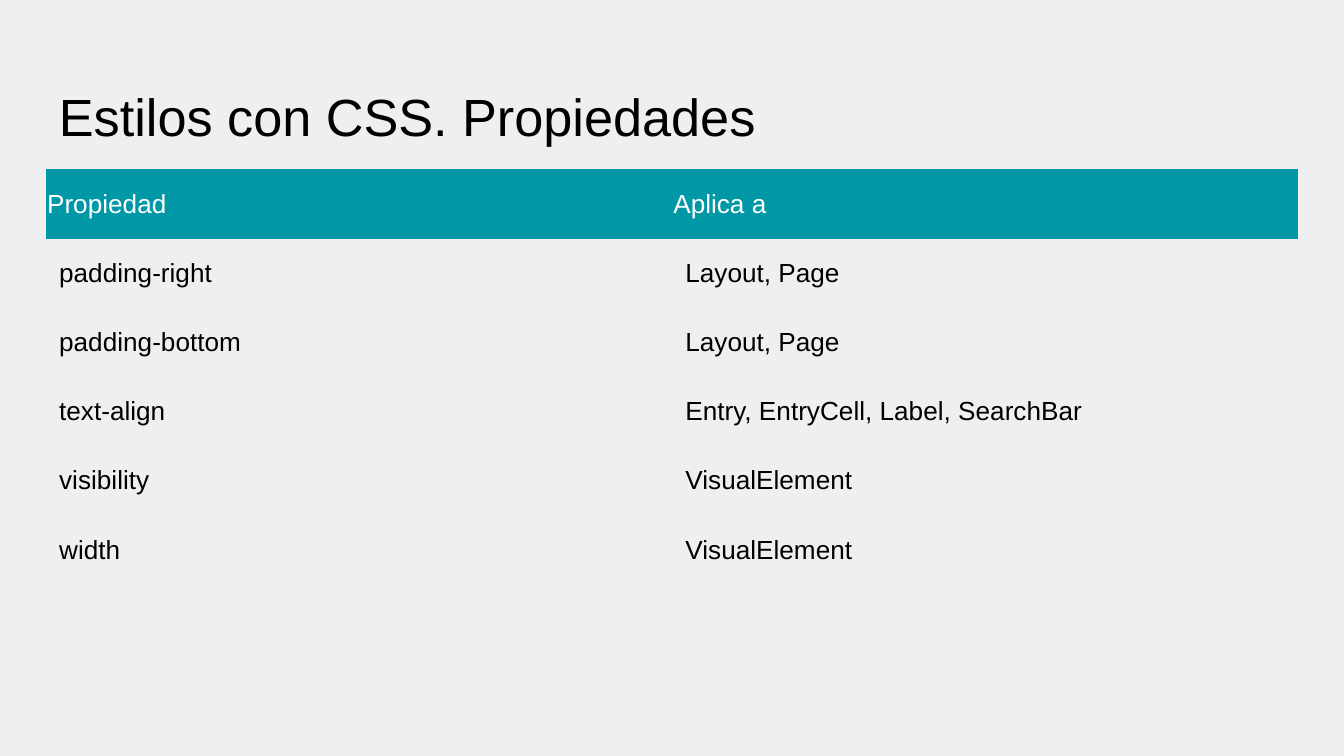
from typing import NamedTuple

from pptx import Presentation
from pptx.dml.color import RGBColor
from pptx.enum.text import MSO_ANCHOR
from pptx.oxml.ns import qn
from pptx.util import Pt

COLORS = {"background": "EFEFEF", "header": "0097A7", "light": "FFFFFF", "dark": "000000"}
FONT = "Arial"
NO_STYLE_NO_GRID = "{2D5ABB26-0587-4C30-8999-92F81FD0307C}"
LEFT, WIDTH = 24.5, 671
ROW_COUNT, ROW_HEIGHT = 8, 37.08


class Property(NamedTuple):
    name: str
    applies_to: str


HEADER = Property("Propiedad", "Aplica a")
PROPERTIES = [
    Property("padding-right", "Layout, Page"),
    Property("padding-bottom", "Layout, Page"),
    Property("text-align", "Entry, EntryCell, Label, SearchBar"),
    Property("visibility", "VisualElement"),
    Property("width", "VisualElement"),
]


def color(name: str) -> RGBColor:
    return RGBColor.from_string(COLORS[name])


def add_text(tf, text: str, size: float, color_name: str) -> None:
    r = tf.paragraphs[0].add_run()
    r.text = text
    r.font.name = FONT
    r.font.size = Pt(size)
    r.font.color.rgb = color(color_name)


def add_title(s, text: str) -> None:
    sp = s.shapes.add_textbox(Pt(LEFT), Pt(35.3), Pt(WIDTH), Pt(45.4))
    tf = sp.text_frame
    tf.word_wrap = True
    tf.margin_left = tf.margin_right = Pt(7.2)
    tf.margin_top, tf.margin_bottom = Pt(10), Pt(0)
    add_text(tf, text, 28, "dark")


def fill_row(table, index: int, row: Property, color_name: str) -> None:
    for cell, text in zip(table.rows[index].cells, row):
        cell.vertical_anchor = MSO_ANCHOR.MIDDLE
        add_text(cell.text_frame, text, 14, color_name)


def add_property_table(s) -> None:
    sp = s.shapes.add_table(
        ROW_COUNT, 2, Pt(LEFT), Pt(90.7), Pt(WIDTH), Pt(ROW_COUNT * ROW_HEIGHT)
    )
    table = sp.table
    table.first_row = table.horz_banding = False
    for style in sp._element.iter(qn("a:tableStyleId")):
        style.text = NO_STYLE_NO_GRID
    for cell in table.iter_cells():
        cell.fill.background()

    fill_row(table, 0, HEADER, "light")
    for cell in table.rows[0].cells:
        cell.margin_left = cell.margin_right = Pt(0.75)
        cell.margin_top = cell.margin_bottom = Pt(0)
        cell.fill.solid()
        cell.fill.fore_color.rgb = color("header")
    for index, row in enumerate(PROPERTIES, start=1):
        fill_row(table, index, row, "dark")


def main() -> None:
    prs = Presentation()
    prs.slide_width, prs.slide_height = Pt(720), Pt(405)
    s = prs.slides.add_slide(prs.slide_layouts[6])
    s.background.fill.solid()
    s.background.fill.fore_color.rgb = color("background")
    add_title(s, "Estilos con CSS. Propiedades")
    add_property_table(s)
    prs.save("out.pptx")


if __name__ == "__main__":
    main()
